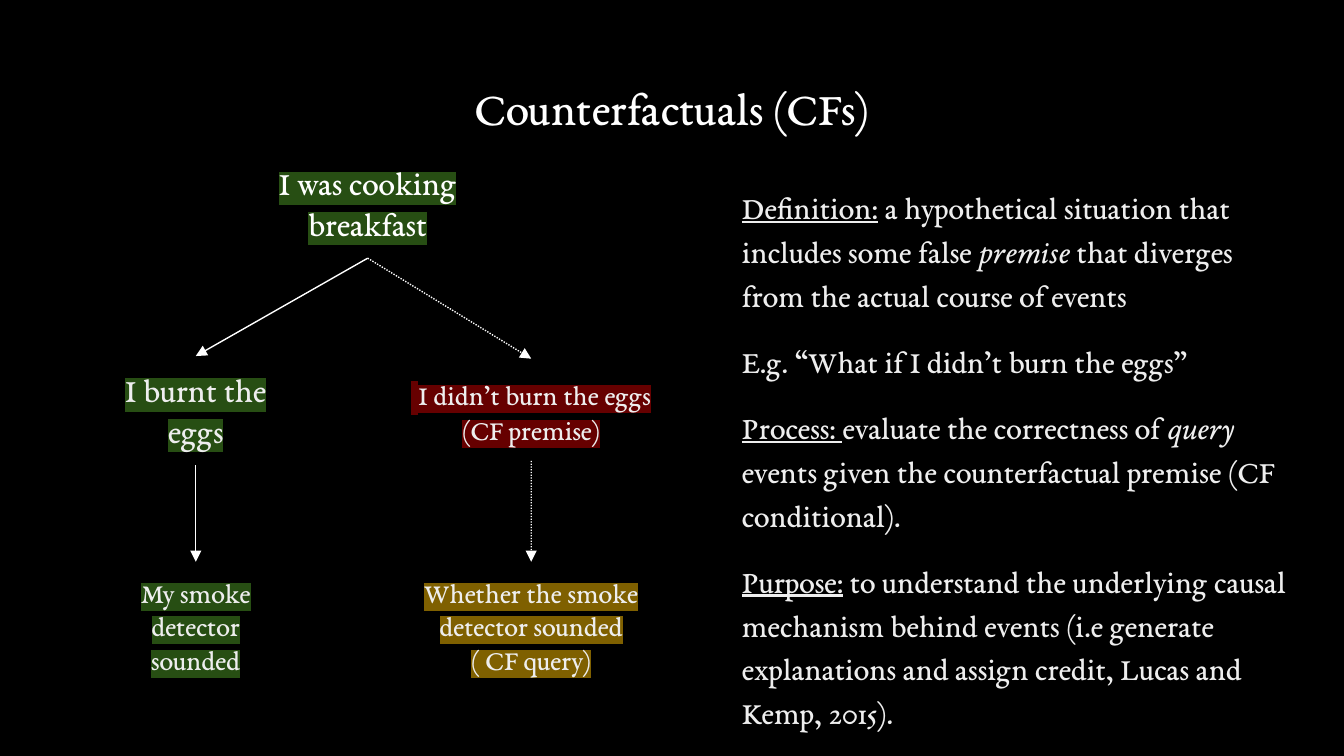
from dataclasses import dataclass

from lxml import etree
from pptx import Presentation
from pptx.dml.color import RGBColor
from pptx.enum.dml import MSO_LINE
from pptx.enum.shapes import MSO_CONNECTOR
from pptx.enum.text import MSO_ANCHOR, PP_ALIGN
from pptx.oxml.ns import qn
from pptx.util import Cm, Pt

STRAIGHT = MSO_CONNECTOR.STRAIGHT
DOTTED = MSO_LINE.ROUND_DOT
CENTER, LEFT = PP_ALIGN.CENTER, PP_ALIGN.LEFT
TOP = MSO_ANCHOR.TOP
BOTTOM_SITE, TOP_SITE = 2, 0
TITLE_ONLY = 5


@dataclass(frozen=True)
class Theme:
    font: str = "EB Garamond"
    background: str = "000000"
    white: str = "FFFFFF"
    text: str = "EEEEEE"
    fact: str = "274E13"
    premise: str = "660000"
    query: str = "7F6000"
    title_size: float = 25.2
    event_size: float = 18
    detail_size: float = 15
    body_size: float = 17
    arrow_width: float = 0.75


@dataclass(frozen=True)
class Box:
    left: float
    top: float
    width: float
    height: float

    def lengths(self):
        return [Cm(v) for v in (self.left, self.top, self.width, self.height)]


THEME = Theme()


def add_span(para, text, size, color=THEME.text, highlight=None, style=""):
    span = para.add_run()
    span.text = text
    font = span.font
    font.size = Pt(size)
    font.color.rgb = RGBColor.from_string(color)
    font.underline = style == "underline"
    font.italic = style == "italic"
    if highlight:
        mark = etree.SubElement(span._r.get_or_add_rPr(), qn("a:highlight"))
        etree.SubElement(mark, qn("a:srgbClr"), val=highlight)
    font.name = THEME.font


def prepare_frame(frame):
    frame.word_wrap = True
    frame.vertical_anchor = TOP
    frame.margin_left = frame.margin_right = Cm(0.25)
    frame.margin_top = frame.margin_bottom = Cm(0.25)


def add_paragraphs(frame, count, align):
    prepare_frame(frame)
    paras = [frame.paragraphs[0]] + [frame.add_paragraph() for _ in range(count - 1)]
    for para in paras:
        para.alignment = align
    return paras


def place_title(page, box, text):
    title = page.shapes.title
    title.left, title.top, title.width, title.height = box.lengths()
    para = add_paragraphs(title.text_frame, 1, CENTER)[0]
    add_span(para, text, THEME.title_size, THEME.white)


def add_event(page, box, lines, highlight, color=THEME.text):
    event = page.shapes.add_textbox(*box.lengths())
    paras = add_paragraphs(event.text_frame, len(lines), CENTER)
    for para, spans in zip(paras, lines):
        for text, size in spans:
            add_span(para, text, size, color, highlight)
    return event


def add_arrow(page, cause, effect, dotted):
    arrow = page.shapes.add_connector(STRAIGHT, 0, 0, 0, 0)
    arrow.begin_connect(cause, BOTTOM_SITE)
    arrow.end_connect(effect, TOP_SITE)
    arrow.line.color.rgb = RGBColor.from_string(THEME.white)
    arrow.line.width = Pt(THEME.arrow_width)
    if dotted:
        arrow.line.dash_style = DOTTED
    etree.SubElement(arrow.line._get_or_add_ln(), qn("a:tailEnd"), type="triangle")
    etree.SubElement(arrow._element.spPr, qn("a:effectLst"))


def place_causal_tree(page, box):
    big, small = THEME.event_size, THEME.detail_size
    actual, root, imagined = 2.02, 5.27, 8.36

    def event(center, top, width, height, *details):
        area = Box(box.left + center - width / 2, box.top + top, width, height)
        return add_event(page, area, *details)

    cooking = event(root, 0, 5.41, 2.06,
                    [[("I was cooking breakfast", big)]], THEME.fact, THEME.white)
    burnt = event(actual, 3.91, 4.04, 2.06,
                  [[("I burnt the eggs", big)]], THEME.fact)
    sounded = event(actual, 7.8, 3.81, 2.44,
                    [[("My smoke detector sounded", small)]], THEME.fact)
    premise = event(imagined, 3.96, 5.13, 1.93,
                    [[(" ", big), ("I didn’t burn the eggs (CF premise)", small)]],
                    THEME.premise)
    query = event(imagined, 7.8, 4.62, 2.44,
                  [[("Whether the smoke detector sounded", small)],
                   [("( CF query)", small)]], THEME.query)

    for cause, effect, dotted in ((cooking, burnt, False), (burnt, sounded, False),
                                  (cooking, premise, True), (premise, query, True)):
        add_arrow(page, cause, effect, dotted)


def place_explanation(page, box, paragraphs):
    body = page.shapes.add_textbox(*box.lengths())
    paras = add_paragraphs(body.text_frame, len(paragraphs), LEFT)
    for index, (para, spans) in enumerate(zip(paras, paragraphs)):
        para.line_spacing = 1.15
        para.space_before = Pt(12 if index else 0)
        for text, style in spans:
            add_span(para, text, THEME.body_size, style=style)


EXPLANATION = [
    [("Definition:", "underline"),
     (" a hypothetical situation that includes some false ", ""),
     ("premise", "italic"),
     (" that diverges from the actual course of events", "")],
    [("E.g. “What if I didn’t burn the eggs”", "")],
    [("Process: ", "underline"),
     ("evaluate the correctness of ", ""),
     ("query", "italic"),
     (" events given the counterfactual premise (CF conditional).", "")],
    [("Purpose:", "underline"),
     (" to understand the underlying causal mechanism behind events (i.e generate "
      "explanations and assign credit, Lucas and Kemp, 2015).", "")],
]


def main():
    deck = Presentation()
    deck.slide_width, deck.slide_height = Cm(25.4), Cm(14.29)
    page = deck.slides.add_slide(deck.slide_layouts[TITLE_ONLY])
    fill = page.background.fill
    fill.solid()
    fill.fore_color.rgb = RGBColor.from_string(THEME.background)
    place_title(page, Box(0.86, 1.24, 23.67, 1.6), "Counterfactuals (CFs)")
    place_causal_tree(page, Box(1.68, 2.82, 10.92, 10.24))
    place_explanation(page, Box(13.77, 3.2, 10.95, 11), EXPLANATION)
    deck.save("out.pptx")


if __name__ == "__main__":
    main()
